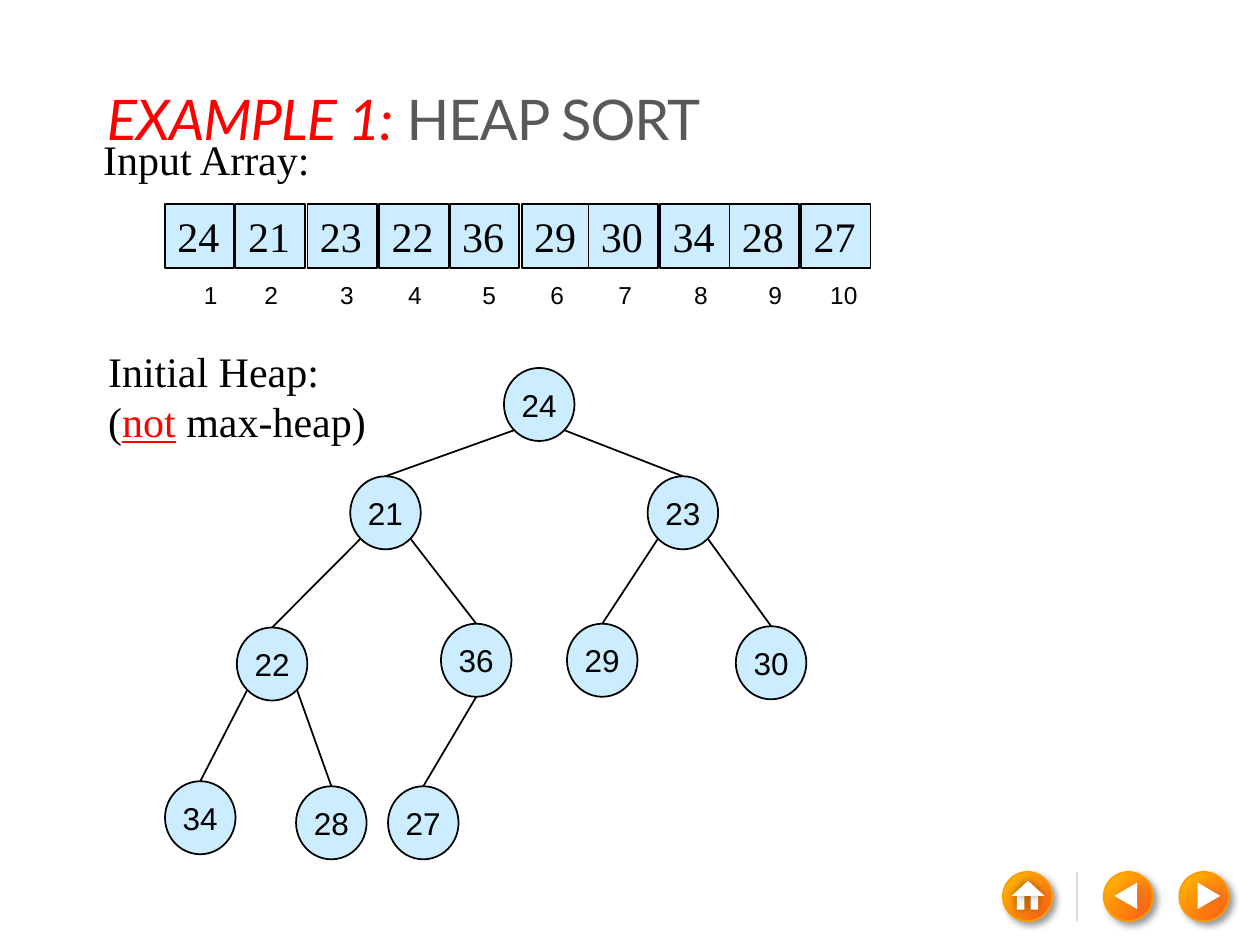
from lxml.etree import SubElement
from pptx import Presentation
from pptx.dml.color import RGBColor
from pptx.enum.shapes import MSO_CONNECTOR, MSO_SHAPE as SHAPE
from pptx.enum.text import MSO_ANCHOR as ANCHOR, PP_ALIGN as ALIGN
from pptx.oxml.ns import qn
from pptx.util import Inches, Pt

BLACK = RGBColor(0x00, 0x00, 0x00)
WHITE = RGBColor(0xFF, 0xFF, 0xFF)
RED = RGBColor(0xFF, 0x00, 0x00)
GRAY = RGBColor(0x59, 0x59, 0x59)
PALE_BLUE = RGBColor(0xCC, 0xEC, 0xFF)
ORANGE = RGBColor(0xFF, 0x99, 0x00)
DEEP_ORANGE = RGBColor(0xFE, 0x58, 0x15)
AMBER = RGBColor(0xFF, 0xC0, 0x00)
RUST = RGBColor(0xD3, 0x56, 0x41)
RULE_GRAY = RGBColor(0xD9, 0xD9, 0xD9)
SERIF, SANS, TITLE = "Times New Roman", "Arial", "Lato"

VALUES = [24, 21, 23, 22, 36, 29, 30, 34, 28, 27]
CELL_LEFTS = [1.31, 1.87, 2.44, 3.01, 3.57, 4.14, 4.67, 5.24, 5.79, 6.36]
CELL_TOP, CELL_W, CELL_H = 1.62, 0.55, 0.51
INDEX_TABS = [0.48, 1.08, 1.62, 2.21, 2.75, 3.29, 3.89, 4.48, 4.97]

NODE_W, NODE_H = 0.56, 0.58
NODES = [(4, 2.92), (2.78, 3.78), (5.14, 3.78), (1.88, 4.98), (3.5, 4.95),
         (4.5, 4.95), (5.84, 4.97), (1.31, 6.2), (2.35, 6.24), (3.08, 6.24)]

TEXTS = [
    ((0.75, 0.33, 8.33, 0.92), ANCHOR.BOTTOM, TITLE, 32,
     [[("EXAMPLE 1:", RED, {"italic": True}), (" HEAP SORT", GRAY, {})]]),
    ((0.72, 1.01, 1.86, 0.5), ANCHOR.TOP, SERIF, 24,
     [[("Input Array:", BLACK, {})]]),
    ((0.76, 2.69, 2.27, 0.91), ANCHOR.TOP, SERIF, 24,
     [[("Initial Heap:", BLACK, {})],
      [("(", BLACK, {}), ("not", RED, {"underline": True}),
       (" ", BLACK, {"italic": True}), ("max-heap)", BLACK, {})]]),
]

BUTTON_TOP, BUTTON_D = 6.92, 0.39
BUTTON_LEFTS = [9.36, 8.76, 7.96]
ARROWS = [((9.49, 7.02, 0.21, 0.18), 90), ((8.83, 7.02, 0.21, 0.18), 270)]
HOUSE = [(SHAPE.RECTANGLE, (8.18, 7.11, 0.06, 0.11)),
         (SHAPE.RECTANGLE, (8.07, 7.11, 0.06, 0.11)),
         (SHAPE.ISOSCELES_TRIANGLE, (8.03, 6.99, 0.26, 0.12))]

prs = Presentation()
prs.slide_width, prs.slide_height = Inches(10), Inches(7.5)
shapes = prs.slides.add_slide(prs.slide_layouts[6]).shapes


def add_run(p, text, font, size, color, **style):
    r = p.add_run()
    r.text = text
    r.font.name, r.font.size, r.font.color.rgb = font, Pt(size), color
    for name, value in style.items():
        setattr(r.font, name, value)
    return r


def add_shape(kind, box, fill, line=None):
    sp = shapes.add_shape(kind, *map(Inches, box))
    sp.shadow.inherit = False
    sp.fill.solid()
    sp.fill.fore_color.rgb = fill
    if line is None:
        sp.line.fill.background()
    else:
        sp.line.color.rgb, sp.line.width = line, Pt(1)
    return sp


def add_box(kind, box, value, font, size, align, anchor):
    sp = add_shape(kind, box, PALE_BLUE, BLACK)
    tf = sp.text_frame
    tf.word_wrap, tf.vertical_anchor = False, anchor
    p = tf.paragraphs[0]
    p.alignment = align
    add_run(p, str(value), font, size, BLACK)
    return sp


def add_line(start, end, color):
    cx = shapes.add_connector(MSO_CONNECTOR.STRAIGHT, *map(Inches, start + end))
    cx.line.color.rgb, cx.line.width = color, Pt(1)
    SubElement(cx._element.spPr, qn("a:effectLst"))
    return cx


def add_shadow(sp, color, blur, dist, angle):
    effects = sp._element.spPr.find(qn("a:effectLst"))
    shadow = SubElement(effects, qn("a:outerShdw"), blurRad=str(Pt(blur)),
                        dist=str(Pt(dist)), dir=str(angle * 60000),
                        algn="tl", rotWithShape="0")
    clr = SubElement(shadow, qn("a:srgbClr"), val=str(color))
    SubElement(clr, qn("a:alpha"), val="40000")


def add_button(left):
    sp = add_shape(SHAPE.OVAL, (left, BUTTON_TOP, BUTTON_D, BUTTON_D), AMBER, ORANGE)
    sp.fill.gradient()
    for stop, color in zip(sp.fill.gradient_stops, (DEEP_ORANGE, AMBER)):
        stop.color.rgb = color
    grad = sp._element.spPr.find(qn("a:gradFill"))
    grad.remove(grad.find(qn("a:lin")))
    radial = SubElement(grad, qn("a:path"), path="circle")
    SubElement(radial, qn("a:fillToRect"), l="100000", t="100000")
    add_shadow(sp, BLACK, 4, 3, 45)


for left in BUTTON_LEFTS:
    add_button(left)
for box, angle in ARROWS:
    sp = add_shape(SHAPE.ISOSCELES_TRIANGLE, box, WHITE)
    sp.rotation = angle
    add_shadow(sp, RUST, 4, 3, 0)
for kind, box in HOUSE:
    add_shadow(add_shape(kind, box, WHITE), BLACK, 5, 0, 0)
add_line((8.55, BUTTON_TOP), (8.55, BUTTON_TOP + BUTTON_D), RULE_GRAY)

for box, anchor, font, size, paragraphs in TEXTS:
    tf = shapes.add_textbox(*map(Inches, box)).text_frame
    tf.word_wrap, tf.vertical_anchor = font == TITLE, anchor
    for i, runs in enumerate(paragraphs):
        p = tf.add_paragraph() if i else tf.paragraphs[0]
        for text, color, style in runs:
            r = add_run(p, text, font, size, color, **style)
            if font == TITLE:
                r._r.get_or_add_rPr().set("spc", "-60")

nodes = [add_box(SHAPE.OVAL, (x, y, NODE_W, NODE_H), value, SANS, 18,
                 ALIGN.CENTER, ANCHOR.MIDDLE)
         for value, (x, y) in zip(VALUES, NODES)]
for child in range(1, len(NODES)):
    parent = (child - 1) // 2
    only_child = 2 * parent + 2 >= len(NODES)
    share_x, share_y = (0.5, 1) if only_child else (0.15 if child % 2 else 0.85, 0.85)
    x, y = NODES[parent]
    cx = add_line((x + share_x * NODE_W, y + share_y * NODE_H), NODES[child], BLACK)
    cx.end_connect(nodes[child], 0)

for left, value in zip(CELL_LEFTS, VALUES):
    add_box(SHAPE.RECTANGLE, (left, CELL_TOP, CELL_W, CELL_H), value, SERIF, 24,
            ALIGN.LEFT, ANCHOR.TOP)

tf = shapes.add_textbox(*map(Inches, (1.52, 2.17, 5.42, 0.34))).text_frame
tf.word_wrap = True
p = tf.paragraphs[0]
tabs = SubElement(p._p.get_or_add_pPr(), qn("a:tabLst"))
for pos in INDEX_TABS:
    SubElement(tabs, qn("a:tab"), pos=str(Inches(pos)), algn="l")
add_run(p, "\t".join(str(i + 1) for i in range(len(VALUES))), SANS, 14, BLACK)

prs.save("out.pptx")
